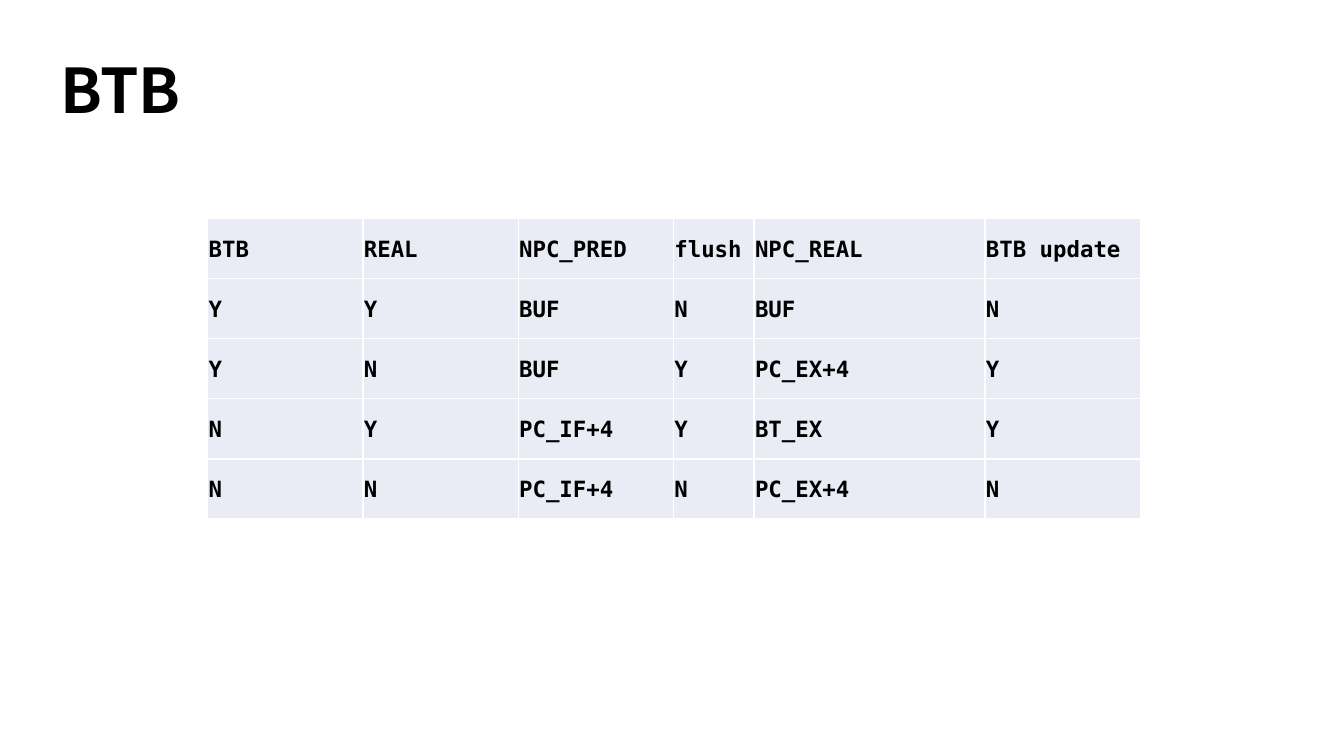
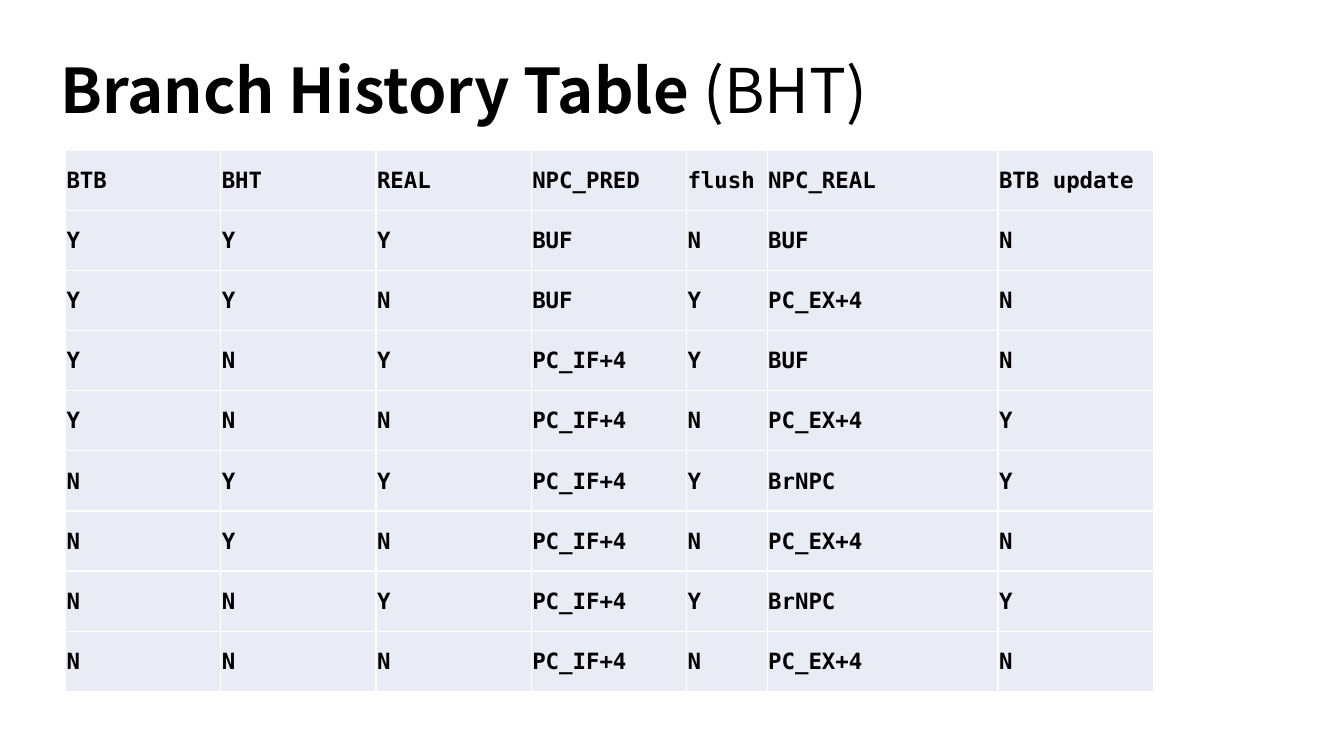
"""Build two slides with the branch prediction tables for BTB and BHT."""
from lxml import etree
from pptx import Presentation, util as u
from pptx.dml import color
from pptx.enum import text as t
from pptx.oxml import ns

PX = 9144
COLORS = {"ink": "000000", "cell": "E9EBF5", "border": "FFFFFF"}
TITLE_FONT = "Noto Sans CJK SC"
TABLE_FONT = "DejaVu Sans Mono"
COLUMN_WIDTHS = {"flush": 80, "NPC_REAL": 229}
DEFAULT_COLUMN_WIDTH = 154

BTB_HEADER = ["BTB", "REAL", "NPC_PRED", "flush", "NPC_REAL", "BTB update"]
BTB_CASES = [
    "Y Y BUF N BUF N",
    "Y N BUF Y PC_EX+4 Y",
    "N Y PC_IF+4 Y BT_EX Y",
    "N N PC_IF+4 N PC_EX+4 N",
]
BHT_HEADER = ["BTB", "BHT", "REAL", "NPC_PRED", "flush", "NPC_REAL", "BTB update"]
BHT_CASES = [
    "Y Y Y BUF N BUF N",
    "Y Y N BUF Y PC_EX+4 N",
    "Y N Y PC_IF+4 Y BUF N",
    "Y N N PC_IF+4 N PC_EX+4 Y",
    "N Y Y PC_IF+4 Y BrNPC Y",
    "N Y N PC_IF+4 N PC_EX+4 N",
    "N N Y PC_IF+4 Y BrNPC Y",
    "N N N PC_IF+4 N PC_EX+4 N",
]


def px(length):
    """Turn whole px into EMU."""
    return u.Emu(length * PX)


def rgb(name):
    """Look up a named colour."""
    return color.RGBColor.from_string(COLORS[name])


def write(paragraph, words, font, size, bold=True, ink="ink"):
    """Append formatted words to a paragraph."""
    run = paragraph.add_run()
    run.text = words
    run.font.name = font
    run.font.size = u.Pt(size)
    run.font.bold = bold
    run.font.color.rgb = rgb(ink)


def add_title(slide, name, suffix=""):
    """Add the slide title, with an optional light suffix."""
    frame = slide.shapes.add_textbox(px(50), px(20), px(1150), px(145)).text_frame
    frame.word_wrap = True
    frame.vertical_anchor = t.MSO_ANCHOR.MIDDLE
    heading = frame.paragraphs[0]
    heading.line_spacing = 0.9
    write(heading, name, TITLE_FONT, 44)
    if suffix:
        write(heading, suffix, TITLE_FONT, 44, bold=False)


def add_borders(cell):
    """Draw a one point line on each side of a cell."""
    properties = cell._tc.get_or_add_tcPr()
    for side in ("a:lnL", "a:lnR", "a:lnT", "a:lnB"):
        line = etree.SubElement(properties, ns.qn(side), w=str(u.Pt(1)))
        fill = etree.SubElement(line, ns.qn("a:solidFill"))
        etree.SubElement(fill, ns.qn("a:srgbClr"), val=COLORS["border"])


def fill_cell(cell, words):
    """Style a cell and write its words."""
    cell.margin_left = cell.margin_top = cell.margin_right = px(1)
    cell.margin_bottom = 0
    cell.vertical_anchor = t.MSO_ANCHOR.MIDDLE
    add_borders(cell)
    cell.fill.solid()
    cell.fill.fore_color.rgb = rgb("cell")
    write(cell.text_frame.paragraphs[0], words, TABLE_FONT, 16)


def add_case_table(slide, left, top, height, header, cases):
    """Add a table of prediction cases under a header row."""
    rows = [header] + [case.split() for case in cases]
    widths = [COLUMN_WIDTHS.get(label, DEFAULT_COLUMN_WIDTH) for label in header]
    table = slide.shapes.add_table(
        len(rows), len(header), px(left), px(top), px(sum(widths)), px(height)
    ).table
    table.first_row = table.horz_banding = False
    for column, width in zip(table.columns, widths):
        column.width = px(width)
    for row, entries in zip(table.rows, rows):
        for cell, words in zip(row.cells, entries):
            fill_cell(cell, words)


def main():
    """Build and save the presentation."""
    deck = Presentation()
    deck.slide_width, deck.slide_height = px(1333), px(750)
    blank = deck.slide_layouts[6]

    btb = deck.slides.add_slide(blank)
    add_title(btb, "BTB")
    add_case_table(btb, 206, 217, 298, BTB_HEADER, BTB_CASES)

    bht = deck.slides.add_slide(blank)
    add_title(bht, "Branch History Table ", "(BHT)")
    add_case_table(bht, 65, 149, 537, BHT_HEADER, BHT_CASES)

    deck.save("out.pptx")


if __name__ == "__main__":
    main()
